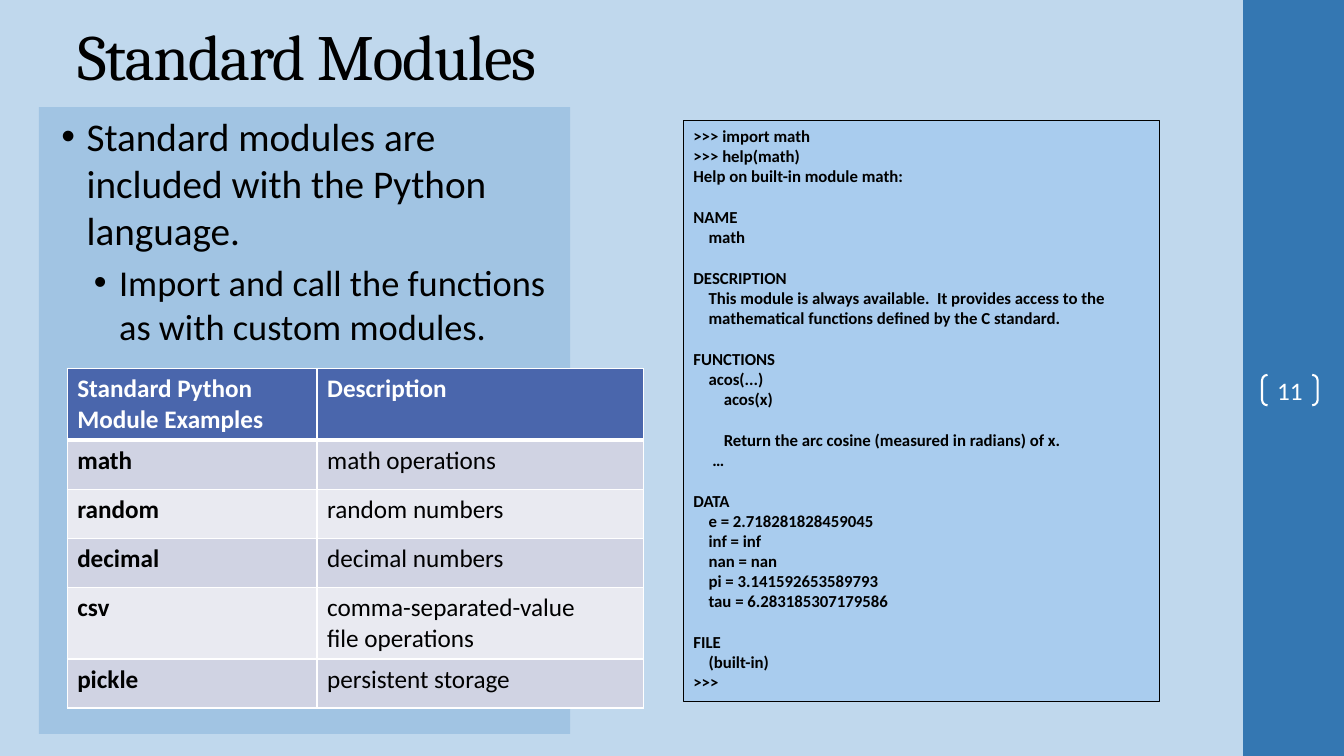
from dataclasses import dataclass

from lxml.etree import SubElement as Sub
from pptx import Presentation
from pptx.dml.color import RGBColor
from pptx.enum.shapes import MSO_SHAPE as Kind
from pptx.enum.text import MSO_ANCHOR as Anchor, PP_ALIGN as Align
from pptx.oxml.ns import qn
from pptx.util import Pt

SCALE = 9525  # EMU in one px
WIDE, HIGH = 1280, 720


@dataclass(frozen=True)
class Theme:
    back: str = "C0D8ED"
    bar: str = "3477B2"
    panel: str = "A1C4E3"
    code: str = "A9CCEE"
    head: str = "4A66AC"
    bands: tuple = ("D0D3E3", "E9EAF1")
    ink: str = "000000"
    white: str = "FFFFFF"
    serif: str = "Cambria"
    sans: str = "Calibri"
    title_size: int = 46
    point_sizes: tuple = (28, 26)
    code_size: int = 12
    cell_size: int = 18


THEME = Theme()

POINTS = [
    "Standard modules are included with the Python language.",
    "Import and call the functions as with custom modules.",
]

ROWS = [
    ("Standard Python\vModule Examples", "Description"),
    ("math", "math operations"),
    ("random", "random numbers"),
    ("decimal", "decimal numbers"),
    ("csv", "comma-separated-value\nfile operations"),
    ("pickle", "persistent storage"),
]

# Groups of (indent in characters, line); a gap parts the groups.
HELP = [
    [(0, ">>> import math"), (0, ">>> help(math)"),
     (0, "Help on built-in module math:")],
    [(0, "NAME"), (4, "math")],
    [(0, "DESCRIPTION"),
     (4, "This module is always available.  It provides access to the"),
     (4, "mathematical functions defined by the C standard.")],
    [(0, "FUNCTIONS"), (4, "acos(...)"), (8, "acos(x)")],
    [(8, "Return the arc cosine (measured in radians) of x."), (5, "…")],
    [(0, "DATA"), (4, "e = 2.718281828459045"), (4, "inf = inf"),
     (4, "nan = nan"), (4, "pi = 3.141592653589793"),
     (4, "tau = 6.283185307179586")],
    [(0, "FILE"), (4, "(built-in)"), (0, ">>>")],
]


def px(count):
    return round(count * SCALE)


def rgb(code):
    return RGBColor.from_string(code)


def style(para, size, color=THEME.ink, bold=False, face=THEME.sans):
    for run in para.runs:
        font = run.font
        font.name, font.size, font.bold = face, Pt(size), bold
        font.color.rgb = rgb(color)


def indent(para, left, first=0):
    props = para._p.get_or_add_pPr()
    props.set("marL", str(left))
    props.set("indent", str(first))
    return props


def add_lines(frame, lines):
    """Fill the frame and yield each paragraph."""
    for spot, line in enumerate(lines):
        para = frame.add_paragraph() if spot else frame.paragraphs[0]
        para.text = line
        para.alignment = Align.LEFT
        yield para


def add_box(slide, box, fill=None, line=None, width=0.75, kind=Kind.RECTANGLE):
    shape = slide.shapes.add_shape(kind, *map(px, box))
    shape.shadow.inherit = False
    if fill:
        shape.fill.solid()
        shape.fill.fore_color.rgb = rgb(fill)
    else:
        shape.fill.background()
    if line:
        shape.line.color.rgb = rgb(line)
        shape.line.width = Pt(width)
    else:
        shape.line.fill.background()
    shape.text_frame.word_wrap = True
    shape.text_frame.vertical_anchor = Anchor.TOP
    return shape


def add_title(slide, box):
    title = slide.shapes.title
    title.left, title.top, title.width, title.height = map(px, box)
    frame = title.text_frame
    frame.text = "Standard Modules"
    frame.vertical_anchor = Anchor.MIDDLE
    para = frame.paragraphs[0]
    para.alignment = Align.LEFT
    style(para, THEME.title_size, face=THEME.serif)
    para.runs[0].font._element.set("spc", "-100")


def add_bar(slide, box):
    """Side bar with the page number in brackets."""
    left, top, wide, high = box
    add_box(slide, box, THEME.bar)
    mark = add_box(slide, (left + 18, top + 357, 53, 29),
                   line=THEME.white, width=1.5, kind=Kind.DOUBLE_BRACKET)
    mark.adjustments[0] = 0.18
    frame = mark.text_frame
    frame.margin_left = frame.margin_right = 0
    frame.margin_top = frame.margin_bottom = 0
    frame.vertical_anchor = Anchor.MIDDLE
    frame.text = "11"
    frame.paragraphs[0].alignment = Align.CENTER
    style(frame.paragraphs[0], THEME.cell_size, THEME.white)


def add_points(slide, box):
    frame = add_box(slide, box, THEME.panel).text_frame
    for level, para in enumerate(add_lines(frame, POINTS)):
        para.level = level
        para.space_before = Pt(5 * level)
        style(para, THEME.point_sizes[level])
        props = indent(para, px(36 + 31 * level), px(-24))
        color = Sub(props, qn("a:buClr"))
        Sub(color, qn("a:srgbClr"), val=THEME.ink)
        Sub(props, qn("a:buFont"), typeface="Arial")
        Sub(props, qn("a:buChar"), char="•")


def add_help(slide, box):
    frame = add_box(slide, box, THEME.code, THEME.ink).text_frame
    lines = [(depth, text, group and not spot)
             for group, block in enumerate(HELP)
             for spot, (depth, text) in enumerate(block)]
    paras = add_lines(frame, [text for _, text, _ in lines])
    for para, (depth, _, gap) in zip(paras, lines):
        para.space_before = Pt(14.65 if gap else 0)
        indent(para, Pt(2.71 * depth))
        style(para, THEME.code_size, bold=True)


def add_edges(cell, head):
    props = cell._tc.get_or_add_tcPr()
    for side in "LRTB":
        width = 3 if head and side == "B" else 1
        edge = Sub(props, qn(f"a:ln{side}"), w=str(Pt(width)))
        fill = Sub(edge, qn("a:solidFill"))
        Sub(fill, qn("a:srgbClr"), val=THEME.white)


def add_grid(slide, box):
    left, top, wide, high = box
    table = slide.shapes.add_table(len(ROWS), 2, *map(px, box)).table
    first = 238
    table.columns[0].width = px(first)
    table.columns[1].width = px(wide - first)
    tall = 67
    short = (high - 2 * tall) / 4
    for row, texts in enumerate(ROWS):
        head = row == 0
        double = any("\v" in text or "\n" in text for text in texts)
        table.rows[row].height = px(tall if double else short)
        for col, text in enumerate(texts):
            cell = table.cell(row, col)
            add_edges(cell, head)
            cell.fill.solid()
            cell.fill.fore_color.rgb = rgb(
                THEME.head if head else THEME.bands[(row - 1) % 2])
            for para in add_lines(cell.text_frame, text.split("\n")):
                style(para, THEME.cell_size,
                      THEME.white if head else THEME.ink, head or col == 0)


def main():
    deck = Presentation()
    deck.slide_width, deck.slide_height = px(WIDE), px(HIGH)
    slide = deck.slides.add_slide(deck.slide_layouts[5])
    slide.background.fill.solid()
    slide.background.fill.fore_color.rgb = rgb(THEME.back)
    add_bar(slide, (1184, 0, 96, HIGH))
    add_title(slide, (64, 12, 1067, 80))
    add_help(slide, (651, 115, 453, 553))
    add_points(slide, (37, 102, 506, 597))
    add_grid(slide, (64, 351, 549, 321))
    deck.save("out.pptx")


if __name__ == "__main__":
    main()
